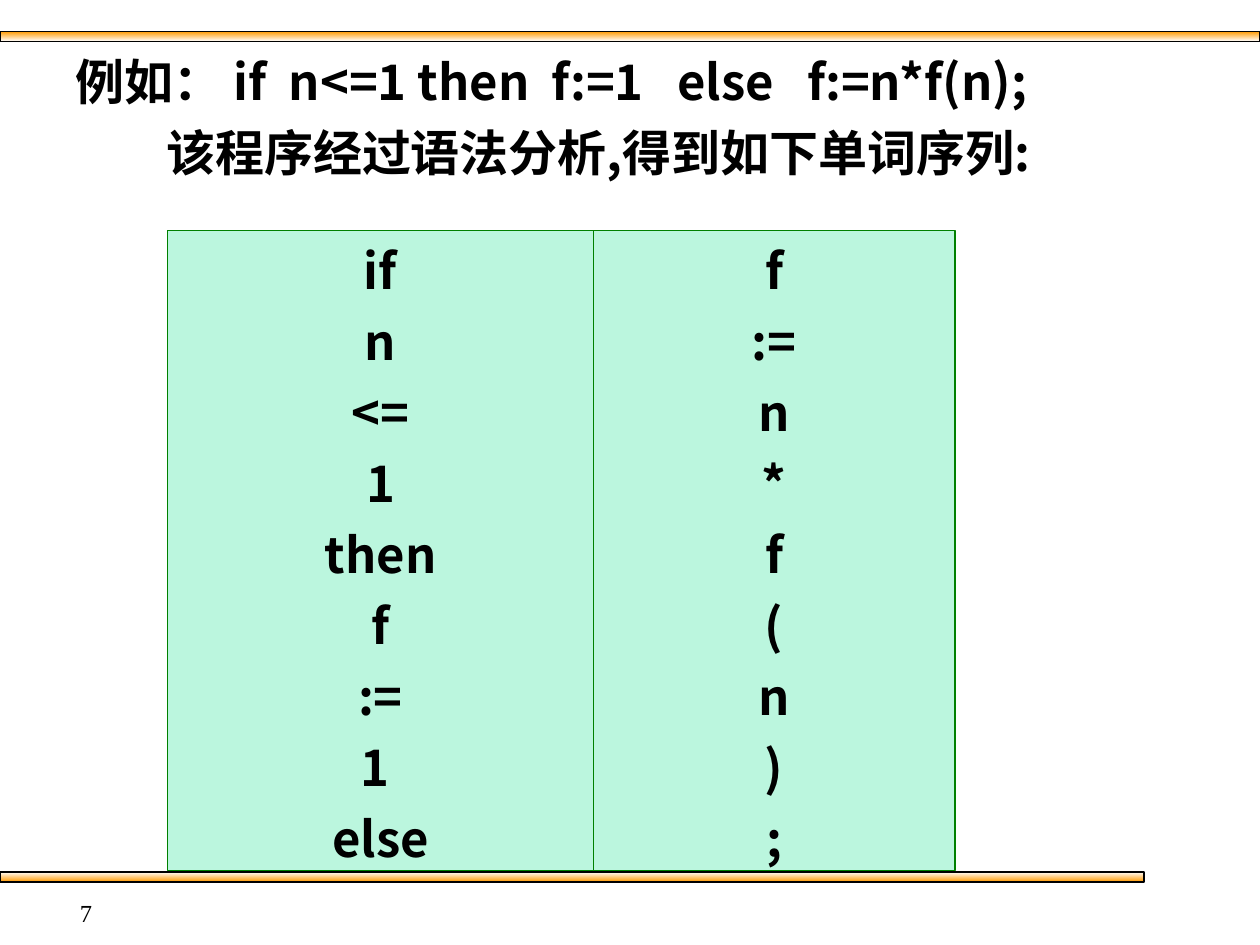
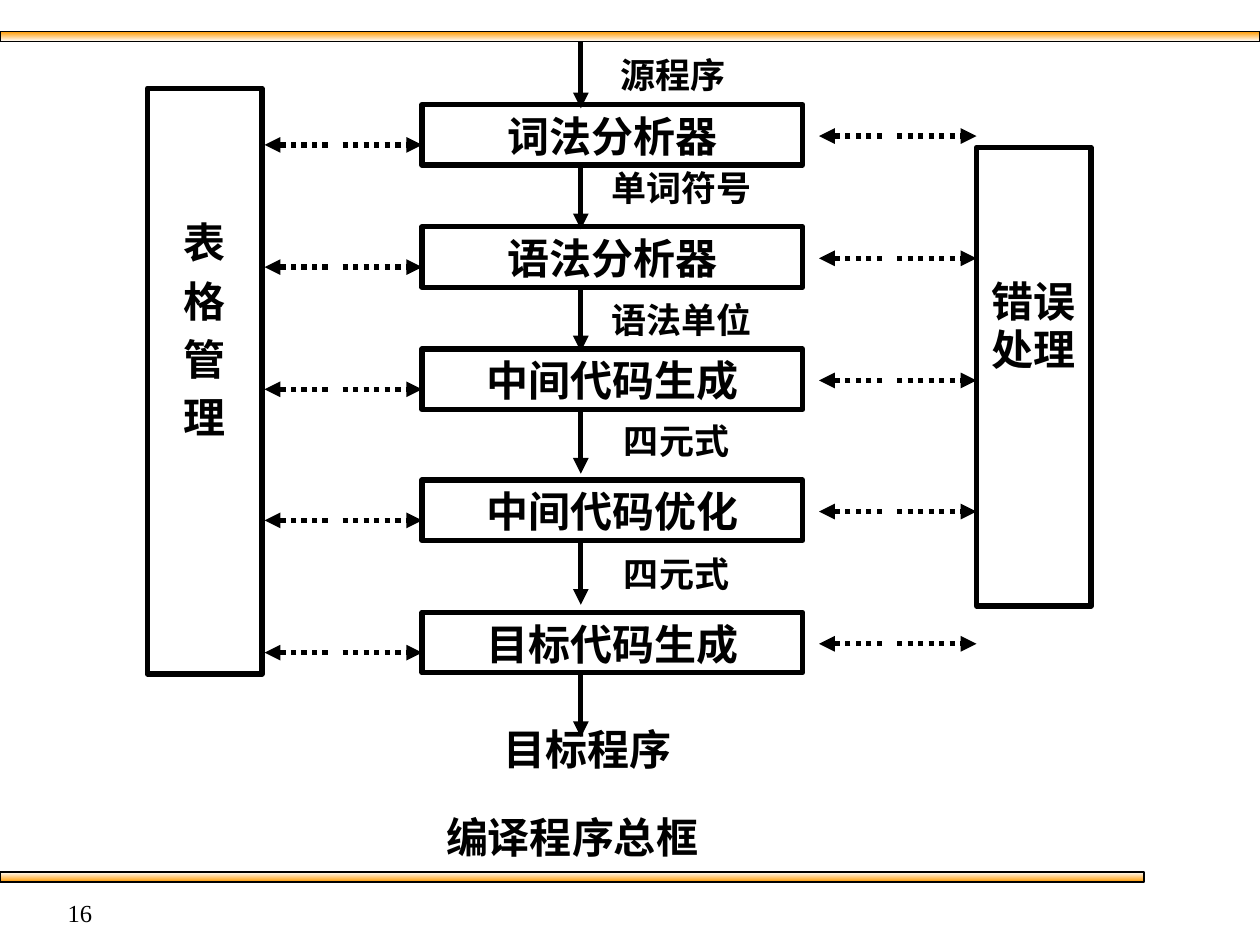
from dataclasses import dataclass

from lxml import etree
from pptx import Presentation
from pptx import util as u
from pptx.dml.color import RGBColor
from pptx.enum import dml, shapes, text
from pptx.oxml import ns


@dataclass(frozen=True)
class Theme:
    ink: str = "000000"
    band: str = "FF9900"
    paper: str = "FFFFFF"
    cell: str = "79EFBF"
    cell_line: str = "008000"
    cjk: str = "Noto Sans CJK SC"
    latin: str = "Arial"
    serif: str = "Times New Roman"
    code: int = 28
    stage: int = 24
    label: int = 20
    footer: int = 14
    thin: float = 0.74
    thick: float = 3


def rgb(value):
    return RGBColor.from_string(value)


def child(parent, tag, **attrs):
    return etree.SubElement(parent, ns.qn(tag), **attrs)


class Deck:
    """Builds slides in one style, one element at a time."""

    def __init__(self, theme):
        self.theme = theme
        self.prs = Presentation()
        self.prs.slide_width, self.prs.slide_height = u.Inches(10), u.Inches(7.5)
        self.slide = None

    def new_slide(self, layout, number):
        t = self.theme
        self.slide = self.prs.slides.add_slide(self.prs.slide_layouts[layout])
        self.band(0.25, 10, t.band, t.paper)
        self.band(6.92, 9.08, t.paper, t.band)
        sp = self.slide.shapes.add_textbox(*map(u.Inches, (0, 7.08, 0.83, 0.25)))
        sp.text_frame.text = str(number)
        p = sp.text_frame.paragraphs[0]
        p.alignment = text.PP_ALIGN.RIGHT
        self.font(p, t.footer, t.serif, bold=False)

    def font(self, p, size, name, bold=True):
        for r in p.runs:
            r.font.size, r.font.name, r.font.bold = u.Pt(size), name, bold
            r.font.color.rgb = rgb(self.theme.ink)
            child(r._r.get_or_add_rPr(), "a:ea", typeface=self.theme.cjk)

    def set_text(self, sp, lines, size, name, pitch=1.14, align=text.PP_ALIGN.CENTER,
                 anchor=text.MSO_ANCHOR.TOP, top=0.08, wrap=True):
        tf = sp.text_frame
        tf.text = "\n".join(lines)
        tf.word_wrap, tf.auto_size = wrap, text.MSO_AUTO_SIZE.NONE
        tf.vertical_anchor, tf.margin_top = anchor, u.Inches(top)
        for p in tf.paragraphs:
            p.alignment = align
            p.line_spacing, p.space_before = u.Pt(size * pitch), u.Pt(size / 4)
            self.font(p, size, name)

    def rect(self, at, color, width):
        sp = self.slide.shapes.add_shape(shapes.MSO_SHAPE.RECTANGLE, *map(u.Inches, at))
        sp.shadow.inherit = False
        sp.line.color.rgb, sp.line.width = rgb(color), u.Pt(width)
        sp.fill.background()
        return sp

    def band(self, top, width, first, last):
        sp = self.rect((0, top, width, 0.08), self.theme.ink, self.theme.thin)
        sp.fill.gradient()
        sp.fill.gradient_angle = 270
        for stop, color in zip(sp.fill.gradient_stops, (first, last)):
            stop.color.rgb = rgb(color)

    def body(self, at, lines, indents):
        title = self.slide.shapes.title._element
        title.getparent().remove(title)
        sp = self.slide.placeholders[1]
        sp.left, sp.top, sp.width, sp.height = map(u.Inches, at)
        self.set_text(sp, lines, self.theme.code, self.theme.cjk, 1.2, text.PP_ALIGN.LEFT)
        for p, indent in zip(sp.text_frame.paragraphs, indents):
            pPr = p._p.get_or_add_pPr()
            pPr.set("marL", str(u.Inches(indent)))
            pPr.set("indent", "0")
            child(pPr, "a:buNone")

    def token_column(self, left, width, tokens):
        t = self.theme
        sp = self.rect((left, 1.83, width, 5.08), t.cell_line, t.thin)
        sp.fill.solid()
        sp.fill.fore_color.rgb = rgb(t.cell)
        fill = sp._element.spPr.find(ns.qn("a:solidFill"))
        child(fill[0], "a:alpha", val="50000")
        self.set_text(sp, tokens, t.code, t.cjk, 1.2)

    def box(self, at, lines, **style):
        sp = self.rect(at, self.theme.ink, self.theme.thick)
        self.set_text(sp, lines, self.theme.stage, self.theme.latin, **style)

    def label(self, center, top, words, size):
        width = len(words) * size / 72 + 0.2
        at = (center - width / 2, top, width, size / 50)
        sp = self.slide.shapes.add_textbox(*map(u.Inches, at))
        self.set_text(sp, [words], size, self.theme.latin, wrap=False)

    def arrow(self, x1, y1, x2, y2, dotted=False):
        sp = self.slide.shapes.add_connector(
            shapes.MSO_CONNECTOR.STRAIGHT, *map(u.Inches, (x1, y1, x2, y2)))
        sp.line.color.rgb, sp.line.width = rgb(self.theme.ink), u.Pt(self.theme.thick)
        if dotted:
            sp.line.dash_style = dml.MSO_LINE.ROUND_DOT
        spPr = sp._element.spPr
        child(spPr.find(ns.qn("a:ln")), "a:tailEnd", type="triangle")
        child(spPr, "a:effectLst")

    def exchange(self, left, y):
        self.arrow(left + 0.62, y, left + 1.25, y, dotted=True)
        self.arrow(left + 0.5, y, left, y, dotted=True)


def token_slide(deck):
    deck.new_slide(1, 7)
    deck.body((0.5, 0.33, 9, 6.58),
              ["例如： if  n<=1 then  f:=1   else   f:=n*f(n);",
               "该程序经过语法分析,得到如下单词序列:"], (0, 0.72))
    deck.token_column(1.33, 3.38, ["if", "n", "<=", "1", "then", "f", ":=", "1 ", "else"])
    deck.token_column(4.71, 2.87, ["f", ":=", "n", "*", "f", "(", "n", ")", ";"])


def compiler_slide(deck):
    deck.new_slide(6, 16)
    stages = [
        (0.83, "词法分析器", "源程序", 5.34, 0.36),
        (1.8, "语法分析器", "单词符号", 5.41, 1.26),
        (2.77, "中间代码生成", "语法单位", 5.41, 2.31),
        (3.81, "中间代码优化", "四元式", 5.37, 3.27),
        (4.86, "目标代码生成", "四元式", 5.37, 4.32),
    ]
    axis = 4.61
    deck.arrow(axis, 0.33, axis, 0.86)
    for top, stage, given, center, label_top in stages:
        deck.box((3.35, top, 3.02, 0.48), [stage], anchor=text.MSO_ANCHOR.MIDDLE)
        deck.arrow(axis, top + 0.47, axis, top + 0.99)
        deck.label(center, label_top, given, deck.theme.label)
        deck.exchange(2.1, top + 0.32)
        deck.exchange(6.5, top + 0.25)
    deck.box((1.17, 0.7, 0.91, 4.65), "表格管理", top=1.04)
    deck.box((7.75, 1.17, 0.91, 3.64), ["错误处理"], top=1.04)
    deck.label(4.66, 5.68, "目标程序", deck.theme.stage)
    deck.label(4.54, 6.38, "编译程序总框", deck.theme.stage)


deck = Deck(Theme())
token_slide(deck)
compiler_slide(deck)
deck.prs.save("out.pptx")
